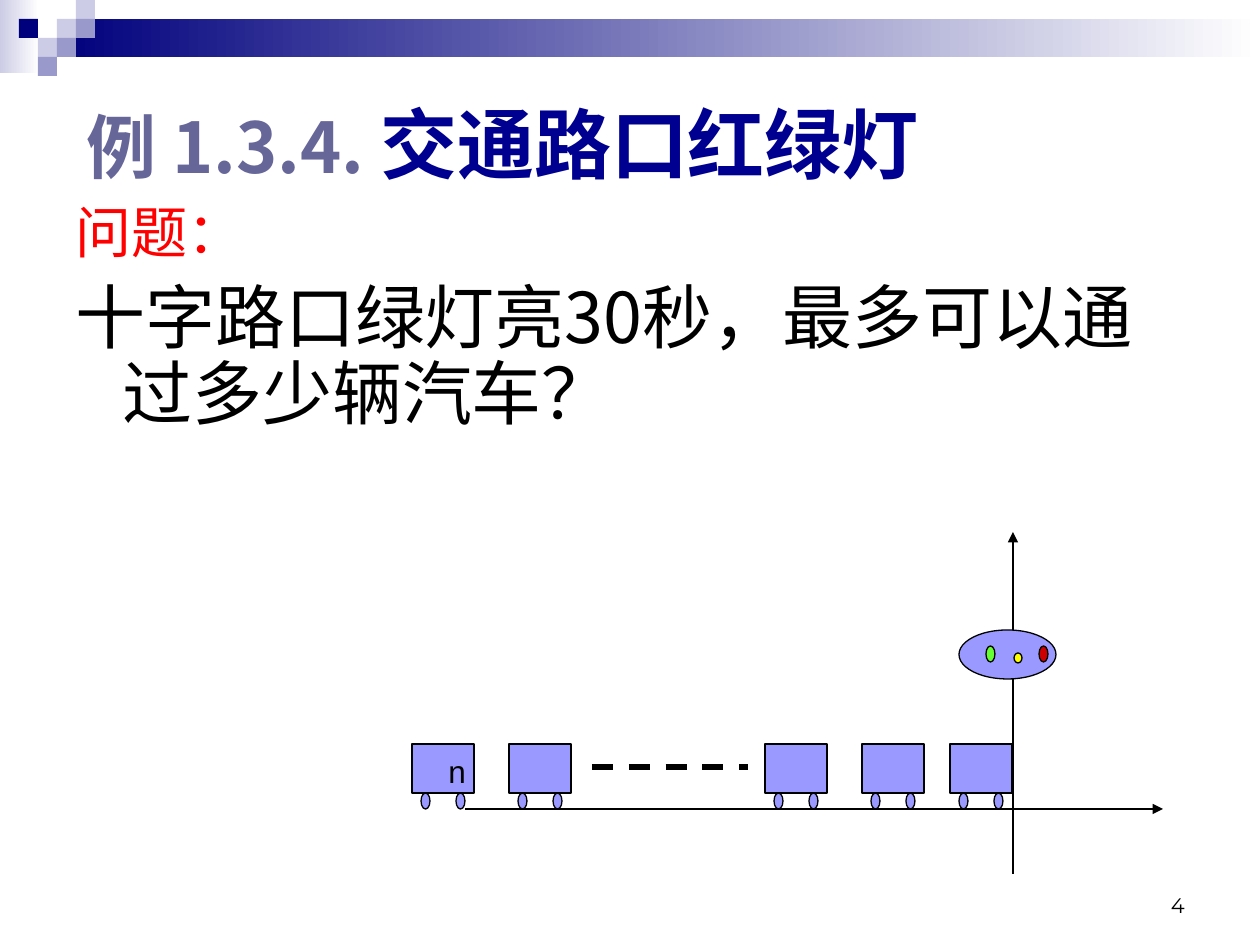
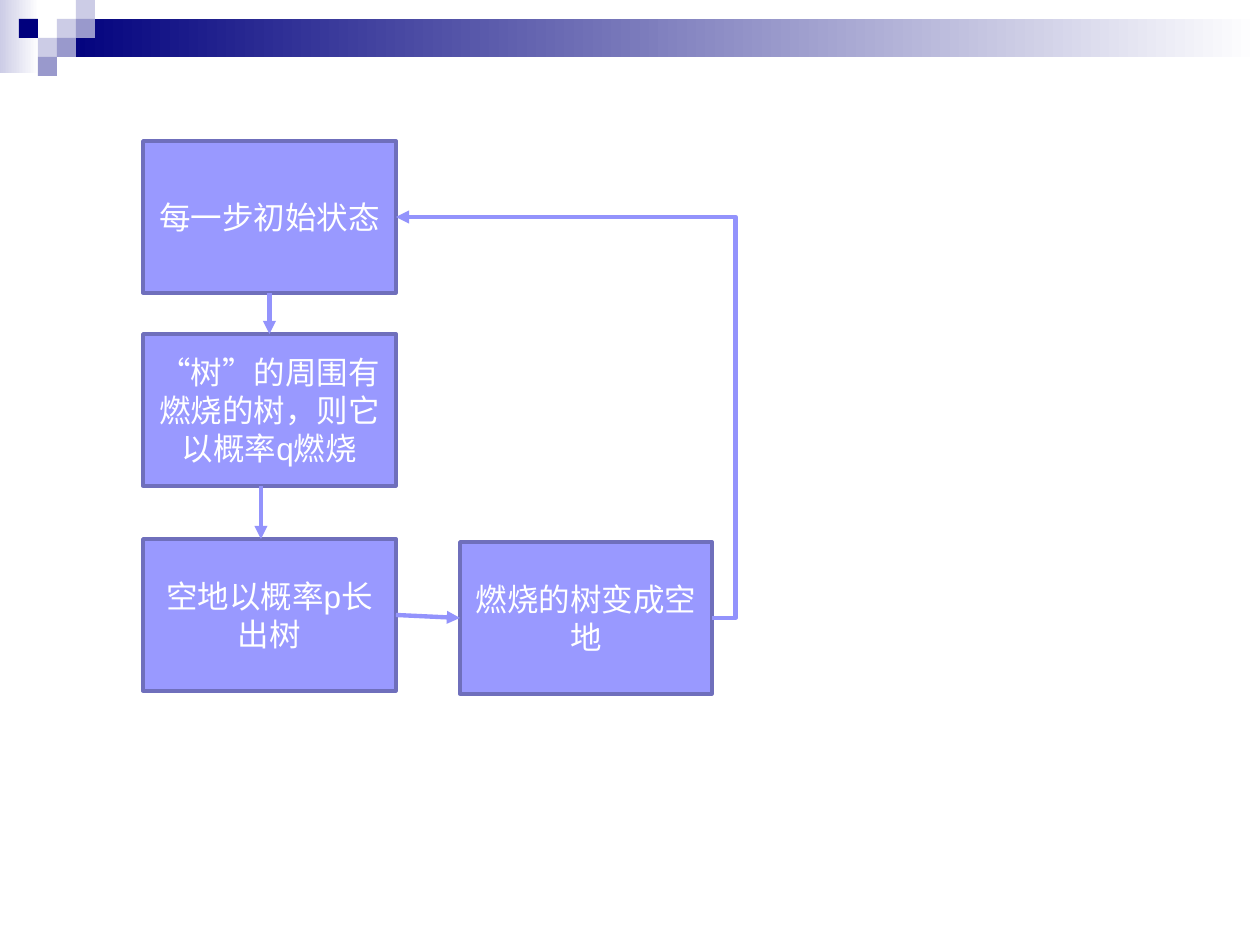
import dataclasses

import pptx
import pptx.dml.color
import pptx.enum.dml
import pptx.enum.shapes
import pptx.enum.text
import pptx.oxml
import pptx.oxml.ns
import pptx.util

PX = 7257  # EMU per pixel, 126 pixels to the inch
qn = pptx.oxml.ns.qn
SHAPE = pptx.enum.shapes.MSO_SHAPE
LINK = pptx.enum.shapes.MSO_CONNECTOR
ALIGN = pptx.enum.text.PP_ALIGN
ANCHOR = pptx.enum.text.MSO_ANCHOR


@dataclasses.dataclass(frozen=True)
class Theme:
    navy: str = "00007D"
    mid: str = "9999CC"
    pale: str = "CCCCE6"
    white: str = "FFFFFF"
    black: str = "000000"
    title: str = "000090"
    title_number: str = "666699"
    question: str = "FF0000"
    fill: str = "9999FF"
    box_line: str = "6F6FBC"
    arrow: str = "9393FC"
    green: str = "66FF33"
    yellow: str = "FFFF00"
    red: str = "CC0000"
    title_size: int = 44
    large: int = 40
    medium: int = 32
    small: int = 18
    number_size: int = 12
    cjk: str = "Noto Sans CJK SC"
    sans: str = "Arial"


T = Theme()


def rgb(value):
    return pptx.dml.color.RGBColor.from_string(value)


def write(p, text, size, font=T.sans, color=T.black, bold=False, align=None):
    """Append a formatted run to a paragraph."""
    if align is not None:
        p.alignment = align
    r = p.add_run()
    r.text = text
    r.font.size = pptx.util.Pt(size)
    r.font.name = font
    r.font.bold = bold
    r.font.color.rgb = rgb(color)
    ea = pptx.oxml.parse_xml(f'<a:ea {pptx.oxml.ns.nsdecls("a")} typeface="{T.cjk}"/>')
    r.font._element.find(qn("a:latin")).addnext(ea)


prs = pptx.Presentation()
prs.slide_width, prs.slide_height = 1260 * PX, 945 * PX
blank = prs.slide_layouts[6]
traffic, forest = [prs.slides.add_slide(blank) for _ in range(2)]

# Shapes are queued as (slide, kind, box, fill, line colour, line width)
CELL = 19
band = [(0, 0, 39, 73, (T.pale, T.white)), (57, 19, 1203, 38, (T.navy, T.white))]
band += [(col * CELL, row * CELL, CELL, CELL, color) for col, row, color in (
    (3, 1, T.pale), (4, 0, T.pale), (4, 1, T.mid), (2, 2, T.pale),
    (1, 1, T.navy), (3, 2, T.mid), (2, 3, T.mid))]
queue = [(s, SHAPE.RECTANGLE, box, fill, None, 0)
         for s in (traffic, forest) for *box, fill in band]

# Traffic light and the row of waiting cars
arrows = []
for x1, y1, x2, y2, width, dashed in (
        (465, 809, 1163, 809, 0.75, False),
        (1013, 874, 1013, 532, 0.75, False),
        (592, 767, 748, 767, 3, True)):
    c = traffic.shapes.add_connector(
        LINK.STRAIGHT, x1 * PX, y1 * PX, x2 * PX, y2 * PX)
    arrows.append((c, T.black, width, dashed))

for car_x in (950, 862, 412, 509, 765):
    queue.append((traffic, SHAPE.RECTANGLE, (car_x, 744, 62, 49), T.fill, T.black, 0.75))
    for wheel_x in (car_x + 9, car_x + 44):
        queue.append((traffic, SHAPE.OVAL, (wheel_x, 793, 9, 16), T.fill, T.black, 0.75))

for *box, color in ((959, 630, 97, 49, T.fill), (986, 646, 9, 16, T.green),
                    (1039, 646, 9, 16, T.red), (1014, 653, 8, 10, T.yellow)):
    queue.append((traffic, SHAPE.OVAL, box, color, T.black, 0.75))

# Steps of the forest fire model
steps = (
    (143, 141, 253, "每一步初始状态"),
    (143, 334, 253, "“树”的周围有燃烧的树，则它以概率q燃烧"),
    (143, 539, 253, "空地以概率p长出树"),
    (460, 542, 252, "燃烧的树变成空地"),
)
for x, y, w, _ in steps:
    queue.append((forest, SHAPE.RECTANGLE, (x, y, w, 152), T.fill, T.box_line, 2))

drawn = []
for s, kind, box, fill, line, width in queue:
    sp = s.shapes.add_shape(kind, *[v * PX for v in box])
    sp.shadow.inherit = False
    if isinstance(fill, tuple):
        sp.fill.gradient()
        sp.fill.gradient_angle = 0
        for stop, color, position in zip(sp.fill.gradient_stops, fill, (0, 1)):
            stop.color.rgb = rgb(color)
            stop.position = position
    else:
        sp.fill.solid()
        sp.fill.fore_color.rgb = rgb(fill)
    if line:
        sp.line.color.rgb = rgb(line)
        sp.line.width = pptx.util.Pt(width)
    else:
        sp.line.fill.background()
    drawn.append(sp)

boxes = drawn[-len(steps):]
for sp, (*_, text) in zip(boxes, steps):
    tf = sp.text_frame
    tf.word_wrap = True
    tf.vertical_anchor = ANCHOR.MIDDLE
    write(tf.paragraphs[0], text, T.small, color=T.white, align=ALIGN.CENTER)

start, burn, grow, clear = boxes
for kind, first, first_side, last, last_side in (
        (LINK.STRAIGHT, start, 2, burn, 0),
        (LINK.STRAIGHT, grow, 3, clear, 1),
        (LINK.ELBOW, clear, 3, start, 3)):
    c = forest.shapes.add_connector(kind, 0, 0, 0, 0)
    c.begin_connect(first, first_side)
    c.end_connect(last, last_side)
    arrows.append((c, T.arrow, 2.5, False))
loop_geometry = c._element.spPr.find(qn("a:prstGeom"))
guides = loop_geometry.find(qn("a:avLst"))
if guides is None:
    guides = loop_geometry.makeelement(qn("a:avLst"), {})
    loop_geometry.append(guides)
guides.append(guides.makeelement(qn("a:gd"), {"name": "adj1", "fmla": "val -7500"}))
c = forest.shapes.add_connector(LINK.STRAIGHT, 261 * PX, 486 * PX, 261 * PX, 539 * PX)
arrows.append((c, T.arrow, 2.5, False))

for c, color, width, dashed in arrows:
    c.line.color.rgb = rgb(color)
    c.line.width = pptx.util.Pt(width)
    spPr = c._element.spPr
    if dashed:
        c.line.dash_style = pptx.enum.dml.MSO_LINE.DASH
    else:
        ln = spPr.find(qn("a:ln"))
        ln.append(ln.makeelement(qn("a:tailEnd"), {"type": "triangle"}))
    spPr.append(spPr.makeelement(qn("a:effectLst"), {}))

# Text of the traffic slide
frames = []
for x, y, w, h, anchor, wrap in (
        (74, 86, 1074, 113, ANCHOR.MIDDLE, True),
        (63, 199, 1134, 610, ANCHOR.TOP, True),
        (903, 861, 294, 63, ANCHOR.BOTTOM, True),
        (436, 746, 43, 50, ANCHOR.TOP, False)):
    tf = traffic.shapes.add_textbox(x * PX, y * PX, w * PX, h * PX).text_frame
    tf.word_wrap = wrap
    tf.vertical_anchor = anchor
    frames.append(tf)
title, body, number, last_car = frames

p = title.paragraphs[0]
write(p, "例 1.3.4. ", T.large, T.cjk, T.title_number, bold=True)
write(p, "交通路口红绿灯", T.title_size, T.cjk, T.title, bold=True)

question, detail = body.paragraphs[0], body.add_paragraph()
for p in (question, detail):
    p.line_spacing = 0.9
    pPr = p._p.get_or_add_pPr()
    pPr.set("marL", str(47 * PX))
    pPr.set("indent", str(-47 * PX))
detail.space_before = pptx.util.Pt(10)
write(question, "问题：", T.medium, "Comic Neue", T.question)
write(detail, "十字路口绿灯亮30秒，最多可以通过多少辆汽车？", T.large, T.cjk)

write(number.paragraphs[0], "4", T.number_size, "Montserrat", align=ALIGN.RIGHT)
write(last_car.paragraphs[0], "n", T.small)

prs.save("out.pptx")
